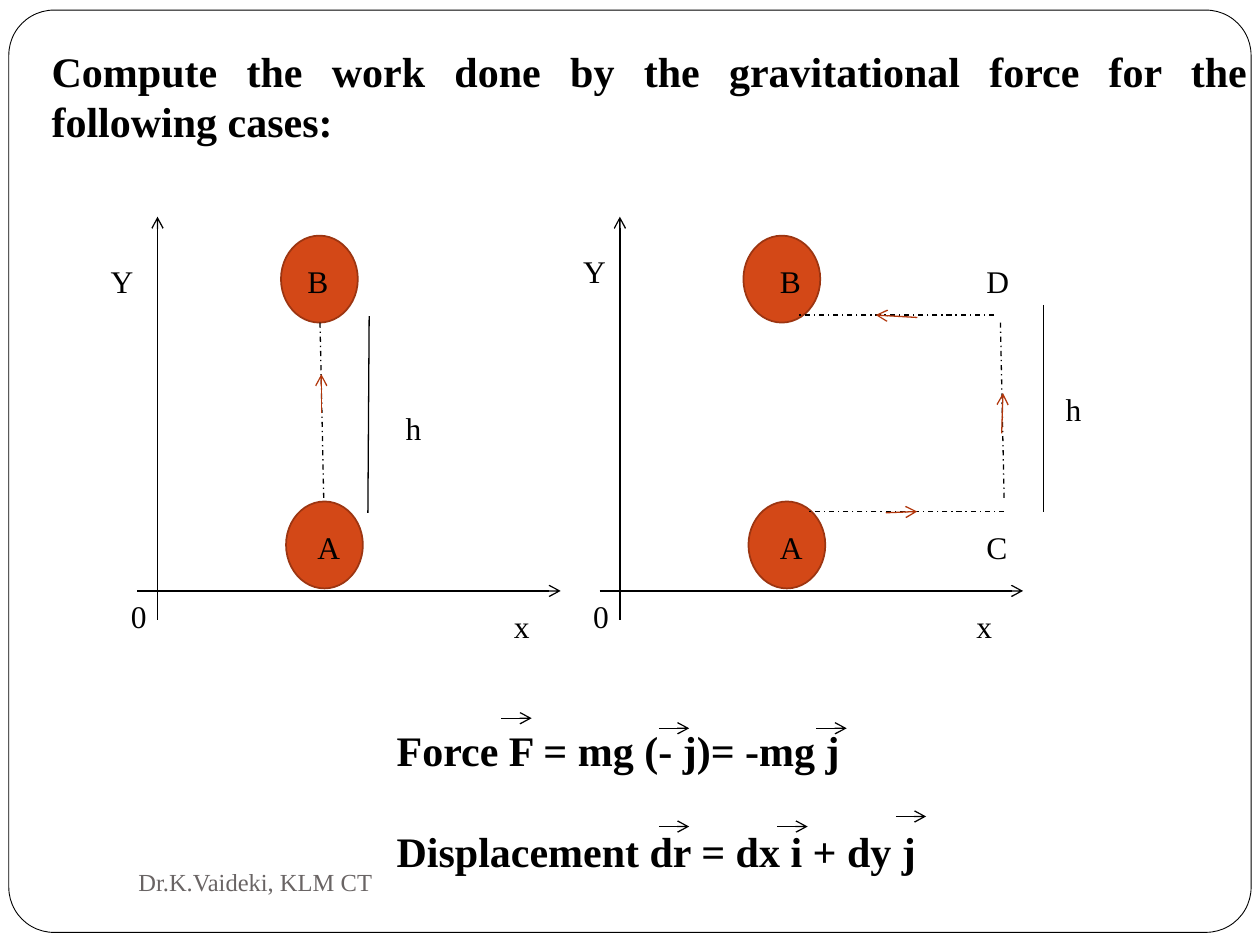
from lxml import etree
from pptx import Presentation
from pptx.dml.color import RGBColor
from pptx.enum.dml import MSO_LINE
from pptx.enum.shapes import MSO_CONNECTOR, MSO_SHAPE
from pptx.enum.text import MSO_ANCHOR, PP_ALIGN
from pptx.oxml.ns import qn
from pptx.util import Inches, Pt

STRAIGHT = MSO_CONNECTOR.STRAIGHT
DASH = MSO_LINE.DASH_DOT
ROUND, OVAL = MSO_SHAPE.ROUNDED_RECTANGLE, MSO_SHAPE.OVAL
TOP, MIDDLE = MSO_ANCHOR.TOP, MSO_ANCHOR.MIDDLE
LEFT, JUSTIFY = PP_ALIGN.LEFT, PP_ALIGN.JUSTIFY

BLACK = RGBColor(0x00, 0x00, 0x00)
WHITE = RGBColor(0xFF, 0xFF, 0xFF)
GREY = RGBColor(0x69, 0x64, 0x64)
ORANGE = RGBColor(0xD3, 0x48, 0x17)
RUST = RGBColor(0x9C, 0x35, 0x11)
RED = RGBColor(0xB1, 0x36, 0x0B)
FONT = "Times New Roman"


def style(frame, size, color=BLACK, bold=False, align=LEFT):
    for para in frame.paragraphs:
        para.alignment = align
        for run in para.runs:
            font = run.font
            font.name, font.size, font.bold = FONT, Pt(size), bold
            font.color.rgb = color


def add_text(slide, box, text, size, color=BLACK, bold=False, wrap=False):
    frame = slide.shapes.add_textbox(*map(Inches, box)).text_frame
    frame.text = text
    frame.word_wrap = wrap
    style(frame, size, color, bold)
    return frame


def add_line(slide, ends, color=BLACK, arrow=False, dash=None):
    link = slide.shapes.add_connector(STRAIGHT, *map(Inches, ends))
    link.line.color.rgb = color
    link.line.width = Pt(0.75)
    if dash:
        link.line.dash_style = dash
    if arrow:
        etree.SubElement(link.line._get_or_add_ln(), qn("a:tailEnd"), type="arrow")
    etree.SubElement(link._element.spPr, qn("a:effectLst"))


def add_form(slide, kind, box, fill, edge, width):
    form = slide.shapes.add_shape(kind, *map(Inches, box))
    form.shadow.inherit = False
    form.fill.solid()
    form.fill.fore_color.rgb = fill
    form.line.color.rgb = edge
    form.line.width = Pt(width)
    return form


def add_title(slide, box):
    title = slide.shapes.title
    title.left, title.top, title.width, title.height = map(Inches, box)
    frame = title.text_frame
    frame.text = ("Compute the work done by the gravitational force "
                  "for the following cases:")
    frame.word_wrap = True
    frame.vertical_anchor = TOP
    style(frame, 24, bold=True, align=JUSTIFY)


def add_plot(slide, left, top, paths, moves, bar, marks):
    """Draw one case; all points are relative to the left and top given."""
    def shift(ends):
        x1, y1, x2, y2 = ends
        return left + x1, top + y1, left + x2, top + y2

    # Axes
    for axis in ((0.47, 3.2, 0.47, 0), (0.31, 2.97, 3.67, 2.97)):
        add_line(slide, shift(axis), arrow=True)
    # Balls at the start and the end
    for x, y in ((1.49, 2.26), (1.45, 0.15)):
        add_form(slide, OVAL, (left + x, top + y, 0.61, 0.69), ORANGE, RUST, 1)
    # Path, height bar and direction arrows
    for ends in paths:
        add_line(slide, shift(ends), dash=DASH)
    add_line(slide, shift(bar))
    for ends in moves:
        add_line(slide, shift(ends), RED, arrow=True)
    # Labels
    shared = [("A", 1.64, 2.42), ("0", 0.16, 2.97), ("x", 3.2, 3.05)]
    for text, x, y in shared + marks:
        add_text(slide, (left + x, top + y, 0.35, 0.4), text, 18)


def add_sums(slide, left, top):
    frame = add_text(slide, (left, top, 4.47, 1.31),
                     "Force F = mg (- j)= -mg j\nDisplacement dr = dx i + dy j",
                     24, bold=True)
    frame.paragraphs[1].space_before = Pt(29)
    # Vector arrows above the symbols
    for x, y in ((0.93, 0), (2.18, 0.08), (3.43, 0.08),
                 (2.18, 0.86), (3.12, 0.86), (4.06, 0.78)):
        add_line(slide, (left + x, top + y, left + x + 0.24, top + y), arrow=True)


def main():
    deck = Presentation()
    deck.slide_width, deck.slide_height = Inches(10), Inches(7.5)
    slide = deck.slides.add_slide(deck.slide_layouts[5])

    # Frame, kept behind the title
    frame = add_form(slide, ROUND, (0.07, 0.08, 9.86, 7.32), WHITE, BLACK, 0.5)
    frame.adjustments[0] = 0.049
    slide.shapes._spTree.insert(2, frame._element)
    add_title(slide, (0.31, 0.31, 9.69, 0.91))

    # Case 1: straight up from A to B
    add_plot(slide, 0.78, 1.72,
             paths=[(1.76, 0.84, 1.79, 2.26)],
             moves=[(1.77, 1.56, 1.77, 1.25)],
             bar=(2.15, 0.79, 2.14, 2.35),
             marks=[("B", 1.56, 0.31), ("Y", 0, 0.31), ("h", 2.34, 1.48)])
    # Case 2: from A by way of C and D to B
    add_plot(slide, 4.45, 1.72,
             paths=[(3.49, 0.84, 3.52, 2.26), (3.52, 2.34, 1.96, 2.34),
                    (3.44, 0.78, 1.88, 0.78)],
             moves=[(3.5, 1.72, 3.51, 1.4), (2.58, 2.35, 2.83, 2.34),
                    (2.83, 0.8, 2.5, 0.78)],
             bar=(3.83, 0.7, 3.83, 2.34),
             marks=[("B", 1.64, 0.31), ("Y", 0.08, 0.23), ("h", 3.91, 1.33),
                    ("C", 3.28, 2.42), ("D", 3.28, 0.31)])

    add_sums(slide, 3.05, 5.7)

    # Footer
    foot = add_text(slide, (1, 6.75, 4.33, 0.5), "Dr.K.Vaideki, KLM CT", 14, GREY,
                    wrap=True)
    foot.vertical_anchor = MIDDLE

    deck.save("out.pptx")


if __name__ == "__main__":
    main()
